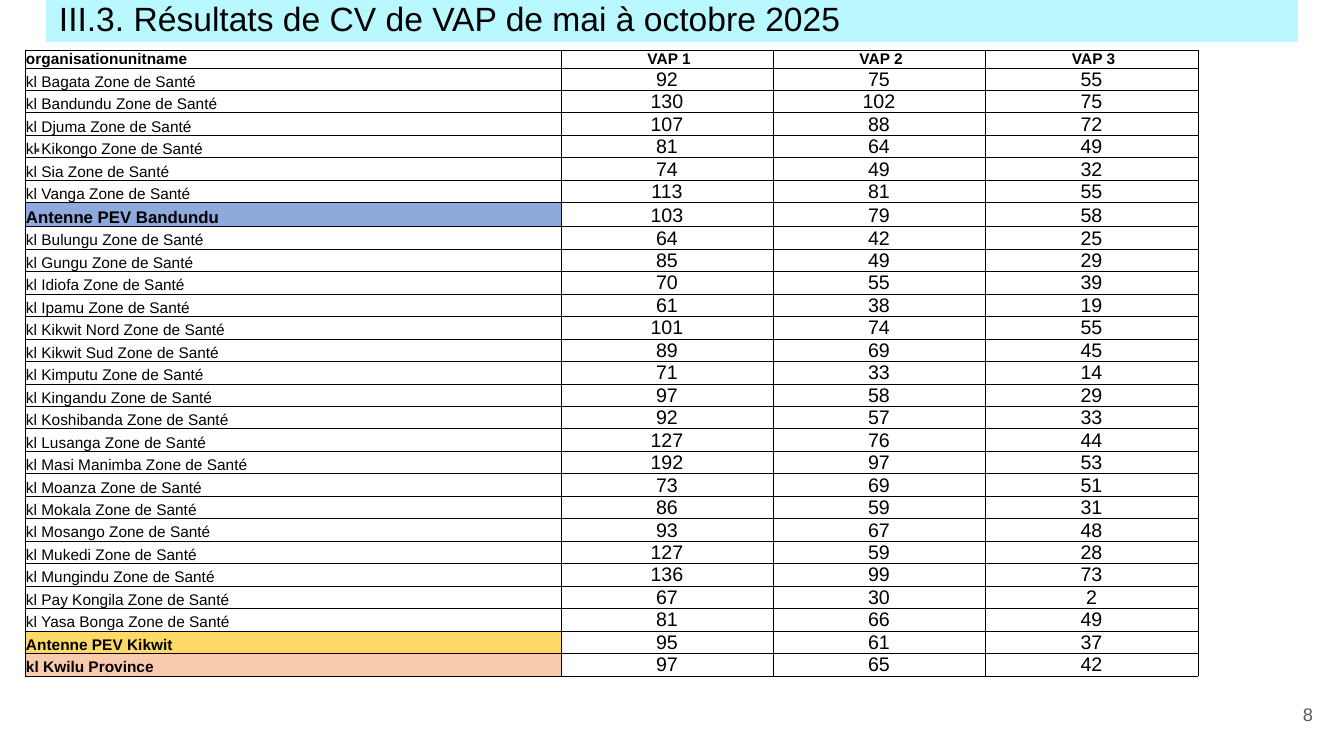
from dataclasses import dataclass
from typing import Optional

from lxml.etree import SubElement
from pptx import Presentation
from pptx.dml.color import RGBColor
from pptx.enum.text import MSO_ANCHOR, PP_ALIGN
from pptx.oxml.ns import qn
from pptx.util import Emu, Pt

EMU_PER_PX = 914400 / 100.8
FONT = "Arial"
COLORS = {
    "black": "000000",
    "gray": "595959",
    "white": "FFFFFF",
    "title": "BAF8FF",
    "bandundu": "8EA9DB",
    "kikwit": "FFD966",
    "province": "F8CBAD",
}


@dataclass(frozen=True)
class Label:
    text: str
    left: int
    top: int
    width: int
    height: int
    size: int
    color: str
    fill: Optional[str] = None
    align: PP_ALIGN = PP_ALIGN.LEFT
    anchor: MSO_ANCHOR = MSO_ANCHOR.TOP
    inset_top: int = 13
    indent: int = 0
    line_spacing: float = 1.0


@dataclass(frozen=True)
class Zone:
    name: str
    rates: tuple[int, int, int]
    fill: Optional[str] = None
    size: int = 11
    height: int = 22


TITLE = Label("III.3. Résultats de CV de VAP de mai à octobre 2025",
              46, -16, 1252, 58, 24, "black", fill="title", inset_top=14)
BODY = Label(".", 11, 100, 1286, 573, 24, "gray", indent=9, line_spacing=1.15)
PAGE_NUMBER = Label("8", 1245, 685, 81, 58, 13, "gray",
                    align=PP_ALIGN.RIGHT, anchor=MSO_ANCHOR.MIDDLE)

HEADERS = ("organisationunitname", " VAP 1", " VAP 2", " VAP 3")
HEADER_HEIGHT = 17
COLUMN_WIDTHS = (536, 212, 212, 213)
CELL_LINE_SPACING = 0.91
ZONES = (
    Zone("kl Bagata Zone de Santé", (92, 75, 55)),
    Zone("kl Bandundu Zone de Santé", (130, 102, 75)),
    Zone("kl Djuma Zone de Santé", (107, 88, 72)),
    Zone("kl Kikongo Zone de Santé", (81, 64, 49)),
    Zone("kl Sia Zone de Santé", (74, 49, 32)),
    Zone("kl Vanga Zone de Santé", (113, 81, 55)),
    Zone("Antenne PEV Bandundu", (103, 79, 58), "bandundu", 12, 24),
    Zone("kl Bulungu Zone de Santé", (64, 42, 25)),
    Zone("kl Gungu Zone de Santé", (85, 49, 29)),
    Zone("kl Idiofa Zone de Santé", (70, 55, 39)),
    Zone("kl Ipamu Zone de Santé", (61, 38, 19)),
    Zone("kl Kikwit Nord Zone de Santé", (101, 74, 55)),
    Zone("kl Kikwit Sud Zone de Santé", (89, 69, 45)),
    Zone("kl Kimputu Zone de Santé", (71, 33, 14)),
    Zone("kl Kingandu Zone de Santé", (97, 58, 29)),
    Zone("kl Koshibanda Zone de Santé", (92, 57, 33)),
    Zone("kl Lusanga Zone de Santé", (127, 76, 44)),
    Zone("kl Masi Manimba Zone de Santé", (192, 97, 53)),
    Zone("kl Moanza Zone de Santé", (73, 69, 51)),
    Zone("kl Mokala Zone de Santé", (86, 59, 31)),
    Zone("kl Mosango Zone de Santé", (93, 67, 48)),
    Zone("kl Mukedi Zone de Santé", (127, 59, 28)),
    Zone("kl Mungindu Zone de Santé", (136, 99, 73)),
    Zone("kl Pay Kongila Zone de Santé", (67, 30, 2)),
    Zone("kl Yasa Bonga Zone de Santé", (81, 66, 49)),
    Zone("Antenne PEV Kikwit", (95, 61, 37), "kikwit"),
    Zone("kl Kwilu Province", (97, 65, 42), "province"),
)


def px(value: int) -> Emu:
    return Emu(round(value * EMU_PER_PX))


def rgb(name: str) -> RGBColor:
    return RGBColor.from_string(COLORS[name])


def add_run(paragraph, text: str, size: int, color: str, bold: bool = False) -> None:
    run = paragraph.add_run()
    run.text = text
    run.font.name = FONT
    run.font.size = Pt(size)
    run.font.bold = bold
    run.font.color.rgb = rgb(color)


def add_label(slide, label: Label) -> None:
    shape = slide.shapes.add_textbox(
        px(label.left), px(label.top), px(label.width), px(label.height))
    if label.fill:
        shape.fill.solid()
        shape.fill.fore_color.rgb = rgb(label.fill)
    frame = shape.text_frame
    frame.word_wrap = True
    frame.vertical_anchor = label.anchor
    frame.margin_left = frame.margin_right = frame.margin_bottom = px(13)
    frame.margin_top = px(label.inset_top)
    paragraph = frame.paragraphs[0]
    paragraph.alignment = label.align
    paragraph.line_spacing = label.line_spacing
    if label.indent:
        paragraph._p.get_or_add_pPr().set("marL", str(px(label.indent)))
    add_run(paragraph, label.text, label.size, label.color)


def add_borders(cell) -> None:
    properties = cell._tc.get_or_add_tcPr()
    for position, side in enumerate(("a:lnL", "a:lnR", "a:lnT", "a:lnB")):
        line = properties.makeelement(qn(side), {"w": str(Pt(0.5))})
        fill = SubElement(line, qn("a:solidFill"))
        SubElement(fill, qn("a:srgbClr"), val=COLORS["black"])
        properties.insert(position, line)


def fill_cell(cell, text: str, size: int, bold: bool, fill: Optional[str],
              align: PP_ALIGN) -> None:
    cell.vertical_anchor = MSO_ANCHOR.BOTTOM
    cell.margin_left = cell.margin_right = cell.margin_top = px(1)
    cell.margin_bottom = 0
    if fill:
        cell.fill.solid()
        cell.fill.fore_color.rgb = rgb(fill)
    else:
        cell.fill.background()
    add_borders(cell)
    paragraph = cell.text_frame.paragraphs[0]
    paragraph.alignment = align
    paragraph.line_spacing = CELL_LINE_SPACING
    add_run(paragraph, text, size, "black", bold)


def add_coverage_table(slide) -> None:
    heights = [HEADER_HEIGHT, *(zone.height for zone in ZONES)]
    table = slide.shapes.add_table(
        len(heights), len(HEADERS), px(25), px(50),
        px(sum(COLUMN_WIDTHS)), px(sum(heights))).table
    table.first_row = table.horz_banding = False
    for column, width in zip(table.columns, COLUMN_WIDTHS):
        column.width = px(width)
    for row, height in zip(table.rows, heights):
        row.height = px(height)
    for index, header in enumerate(HEADERS):
        fill_cell(table.cell(0, index), header, 11, True,
                  "white" if index else None,
                  PP_ALIGN.CENTER if index else PP_ALIGN.LEFT)
    for row_index, zone in enumerate(ZONES, start=1):
        fill_cell(table.cell(row_index, 0), zone.name, zone.size,
                  zone.fill is not None, zone.fill, PP_ALIGN.LEFT)
        for index, rate in enumerate(zone.rates, start=1):
            fill_cell(table.cell(row_index, index), str(rate), 14, False,
                      "white", PP_ALIGN.CENTER)


def main() -> None:
    presentation = Presentation()
    presentation.slide_width = px(1344)
    presentation.slide_height = px(756)
    slide = presentation.slides.add_slide(presentation.slide_layouts[6])
    add_label(slide, TITLE)
    add_label(slide, BODY)
    add_coverage_table(slide)
    add_label(slide, PAGE_NUMBER)
    presentation.save("out.pptx")


if __name__ == "__main__":
    main()
